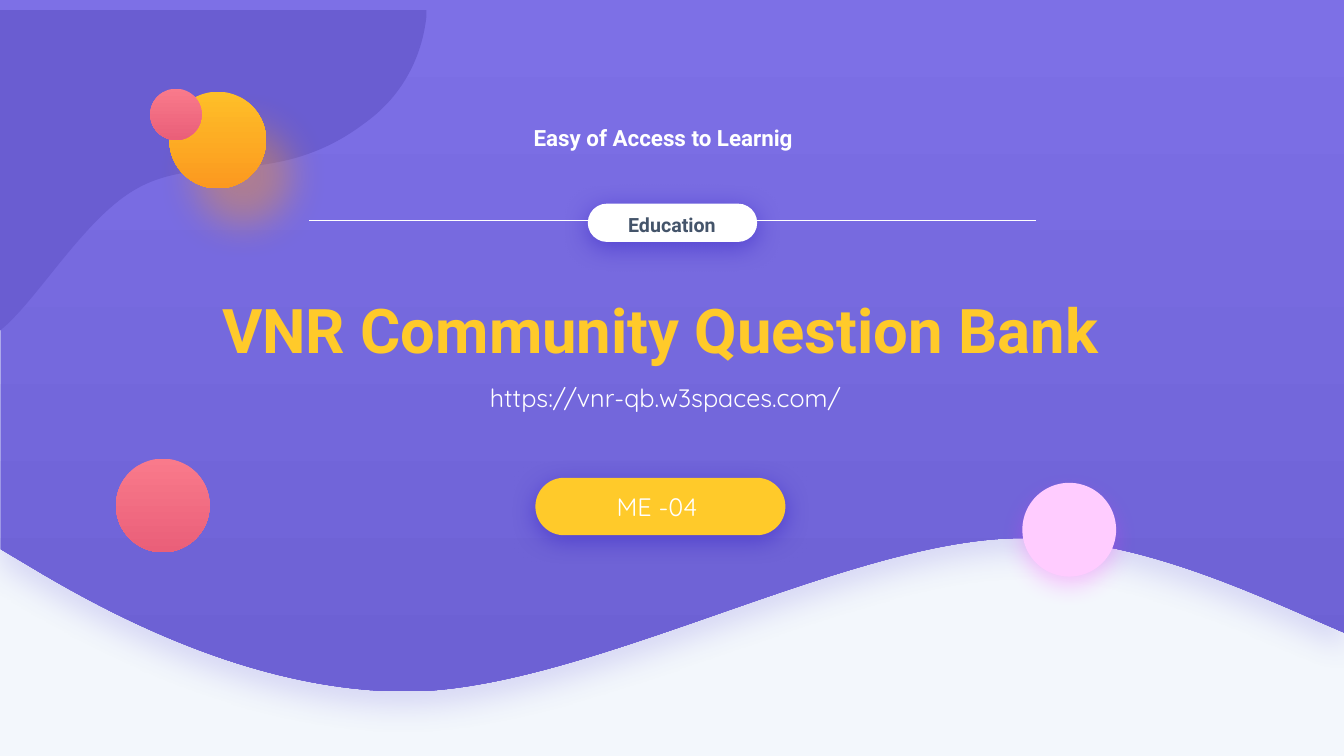
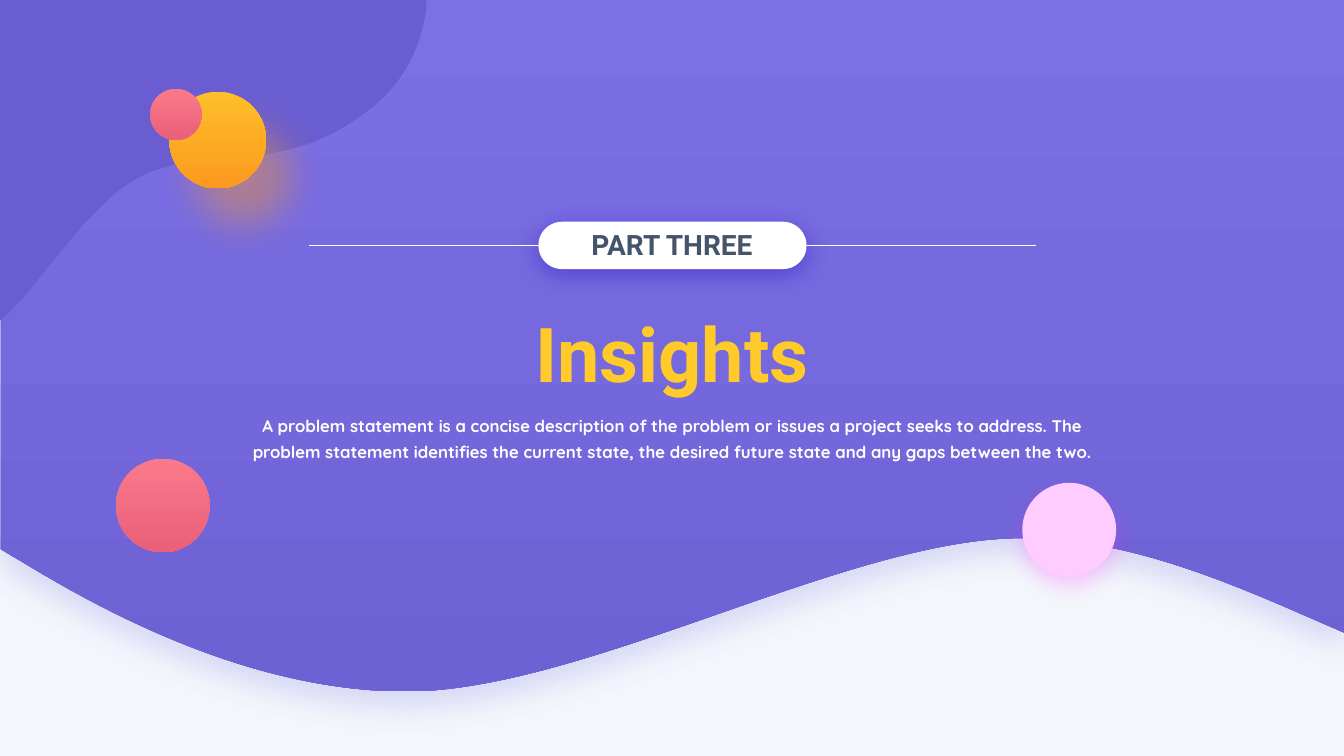
from lxml.etree import SubElement
from pptx import Presentation
from pptx.dml.color import RGBColor
from pptx.enum.shapes import MSO_CONNECTOR, MSO_SHAPE
from pptx.enum.text import MSO_ANCHOR, MSO_AUTO_SIZE, PP_ALIGN
from pptx.oxml.ns import qn
from pptx.util import Inches, Pt

# Shared colours and fonts
PAPER, WHITE, YELLOW, PINK = "F3F7FC", "FFFFFF", "FFCA2A", "FFCCFF"
SLATE, DEEP_PURPLE = "44546A", "6A5DD1"
PURPLE_FADE = ("7D70E6", "6D61D4")
ORANGE_FADE = ("FEBF28", "FC991F")
RED_FADE = ("F97A8B", "EA5F79")
HEADING_FONT, BODY_FONT = "Roboto", "Quicksand"

# Shadows: colour, opacity in percent, blur and distance in points, direction
WAVE_SHADOW = ("7367DB", 22, 22, 11, 90)
ORANGE_SHADOW = ("FC991F", 40, 28, 31, 55)
PINK_SHADOW = ("FF2DFF", 24, 16, 7, 90)
PILL_SHADOW = ("3A27C7", 58, 18, 4, 90)

# Outlines: two numbers draw a straight line, six a Bezier curve
WAVE = [(0, 0), (13.34, 0), (13.34, 6.28),
        (12.43, 5.89, 11.25, 5.31, 10.06, 5.34),
        (8.33, 5.38, 5.72, 6.89, 3.97, 6.86),
        (2.66, 6.84, 1.4, 6.27, 0.43, 5.7),
        (0.01, 5.45), (0.01, 2.34), (0, 2.34)]
BLOB = [(0, 0), (4.23, 0), (4.23, 0.06),
        (4.19, 0.44, 4.01, 0.84, 3.62, 1.12),
        (2.75, 1.78, 2, 1.41, 1.36, 1.77),
        (0.87, 2.04, 0.43, 2.78, 0.07, 3.12),
        (0, 3.18)]

# Circles: left, top, diameter, fill, shadow
CIRCLES = [(1.68, 0.91, 0.96, ORANGE_FADE, ORANGE_SHADOW),
           (1.49, 0.88, 0.51, RED_FADE, None),
           (1.15, 4.55, 0.93, RED_FADE, None),
           (10.14, 4.79, 0.93, PINK, PINK_SHADOW)]

RULE_LEFT, RULE_RIGHT = 3.06, 10.28


def color(value):
    return RGBColor.from_string(value)


def set_shadow(shape, shadow):
    shape.shadow.inherit = False
    if shadow:
        tint, opacity, blur, distance, direction = shadow
        effects = shape._element.spPr.find(qn("a:effectLst"))
        outer = SubElement(effects, qn("a:outerShdw"), blurRad=str(Pt(blur)),
                           dist=str(Pt(distance)), dir=str(direction * 60000),
                           algn="ctr", rotWithShape="0")
        rgb = SubElement(outer, qn("a:srgbClr"), val=tint)
        SubElement(rgb, qn("a:alpha"), val=str(opacity * 1000))


def style_shape(shape, fill, shadow=None):
    """Apply a plain colour, or a (top, bottom) pair as a vertical fade."""
    if isinstance(fill, tuple):
        shape.fill.gradient()
        shape.fill.gradient_angle = 270
        for stop, value in zip(shape.fill.gradient_stops, fill):
            stop.color.rgb = color(value)
    else:
        shape.fill.solid()
        shape.fill.fore_color.rgb = color(fill)
    shape.line.fill.background()
    set_shadow(shape, shadow)


def bend(line, controls):
    """Turn a straight path segment into a Bezier curve."""
    line.tag = qn("a:cubicBezTo")
    for position, (x, y) in enumerate(controls):
        point = SubElement(line, qn("a:pt"), x=str(Inches(x)), y=str(Inches(y)))
        line.insert(position, point)


def add_outline(slide, outline, fill, shadow=None, top=0):
    """Draw an outline that starts at its own top left corner."""
    ends = [(Inches(segment[-2]), Inches(segment[-1])) for segment in outline]
    builder = slide.shapes.build_freeform(*ends[0])
    builder.add_line_segments(ends[1:], close=True)
    shape = builder.convert_to_shape(0, Inches(top))
    lines = list(shape._element.iter(qn("a:lnTo")))
    for line, segment in zip(lines, outline[1:]):
        if len(segment) == 6:
            bend(line, (segment[:2], segment[2:4]))
    style_shape(shape, fill, shadow)


def add_pill(slide, left, top, width, height, fill):
    shape = slide.shapes.add_shape(MSO_SHAPE.ROUNDED_RECTANGLE, Inches(left),
                                   Inches(top), Inches(width), Inches(height))
    shape.adjustments[0] = 0.5
    style_shape(shape, fill, PILL_SHADOW)
    return shape


def write(frame, text, size, font, tint, bold=False, spacing=None):
    frame.word_wrap = True
    paragraph = frame.paragraphs[0]
    paragraph.alignment = PP_ALIGN.CENTER
    if spacing:
        paragraph.line_spacing = Pt(spacing)
    run = paragraph.add_run()
    run.text = text
    run.font.size = Pt(size)
    run.font.name = font
    run.font.bold = bold
    run.font.color.rgb = color(tint)


def add_text(slide, left, top, width, height, text, size, font, tint,
             bold=True, spacing=18):
    box = slide.shapes.add_textbox(Inches(left), Inches(top),
                                   Inches(width), Inches(height))
    write(box.text_frame, text, size, font, tint, bold, spacing)
    box.text_frame.auto_size = MSO_AUTO_SIZE.SHAPE_TO_FIT_TEXT


def add_title(slide, left, top, width, height, text, size):
    add_text(slide, left, top, width, height, text, size, HEADING_FONT, YELLOW,
             spacing=None)


def add_rule(slide, start, end, y):
    rule = slide.shapes.add_connector(MSO_CONNECTOR.STRAIGHT, Inches(start),
                                      Inches(y), Inches(end), Inches(y))
    rule.line.color.rgb = color(WHITE)
    rule.line.width = Pt(0.5)
    SubElement(rule._element.spPr, qn("a:effectLst"))


def add_label_bar(slide, left, top, width, height, rule_y, text, size):
    """A white pill with a label and a thin rule on either side."""
    add_pill(slide, left, top, width, height, WHITE)
    add_rule(slide, left + width, RULE_RIGHT, rule_y)
    add_rule(slide, left, RULE_LEFT, rule_y)
    add_text(slide, 4.58, rule_y - 0.14, 4.17, 0.35, text, size, HEADING_FONT, SLATE)


def add_scene_slide(presentation, blob_top=0):
    """A blank slide with the wave, the corner blob and the circles."""
    slide = presentation.slides.add_slide(presentation.slide_layouts[6])
    add_outline(slide, WAVE, PURPLE_FADE, WAVE_SHADOW)
    add_outline(slide, BLOB, DEEP_PURPLE, top=blob_top)
    for left, top, diameter, fill, shadow in CIRCLES:
        circle = slide.shapes.add_shape(MSO_SHAPE.OVAL, Inches(left), Inches(top),
                                        Inches(diameter), Inches(diameter))
        style_shape(circle, fill, shadow)
    return slide


def build_cover(presentation):
    slide = add_scene_slide(presentation, blob_top=0.1)
    add_text(slide, 4.52, 1.2, 4.17, 0.35, "Easy of Access to Learnig ", 16,
             HEADING_FONT, WHITE)
    add_label_bar(slide, 5.83, 2.02, 1.68, 0.38, 2.19, "Education", 14)
    add_title(slide, 1.48, 2.85, 10.15, 0.84, "VNR Community Question Bank", 44)
    add_text(slide, 2.08, 3.79, 9.04, 0.35, "https://vnr-qb.w3spaces.com/", 18,
             BODY_FONT, WHITE, bold=False)
    button = add_pill(slide, 5.31, 4.74, 2.48, 0.57, YELLOW)
    button.text_frame.vertical_anchor = MSO_ANCHOR.MIDDLE
    write(button.text_frame, "ME -04 ", 18, BODY_FONT, WHITE)


def build_section(presentation):
    slide = add_scene_slide(presentation)
    add_label_bar(slide, 5.34, 2.2, 2.66, 0.47, 2.43, "PART THREE", 20)
    add_title(slide, 2.45, 3, 8.43, 1.01, "Insights", 54)
    add_text(slide, 2.15, 4.03, 9.04, 0.6,
             "A problem statement is a concise description of the problem or issues "
             "a project seeks to address. The problem statement identifies the current "
             "state, the desired future state and any gaps between the two.",
             12, BODY_FONT, WHITE)


def main():
    presentation = Presentation()
    presentation.slide_width = Inches(13.33)
    presentation.slide_height = Inches(7.5)
    background = presentation.slide_master.background.fill
    background.solid()
    background.fore_color.rgb = color(PAPER)
    build_cover(presentation)
    build_section(presentation)
    presentation.save("out.pptx")


if __name__ == "__main__":
    main()
